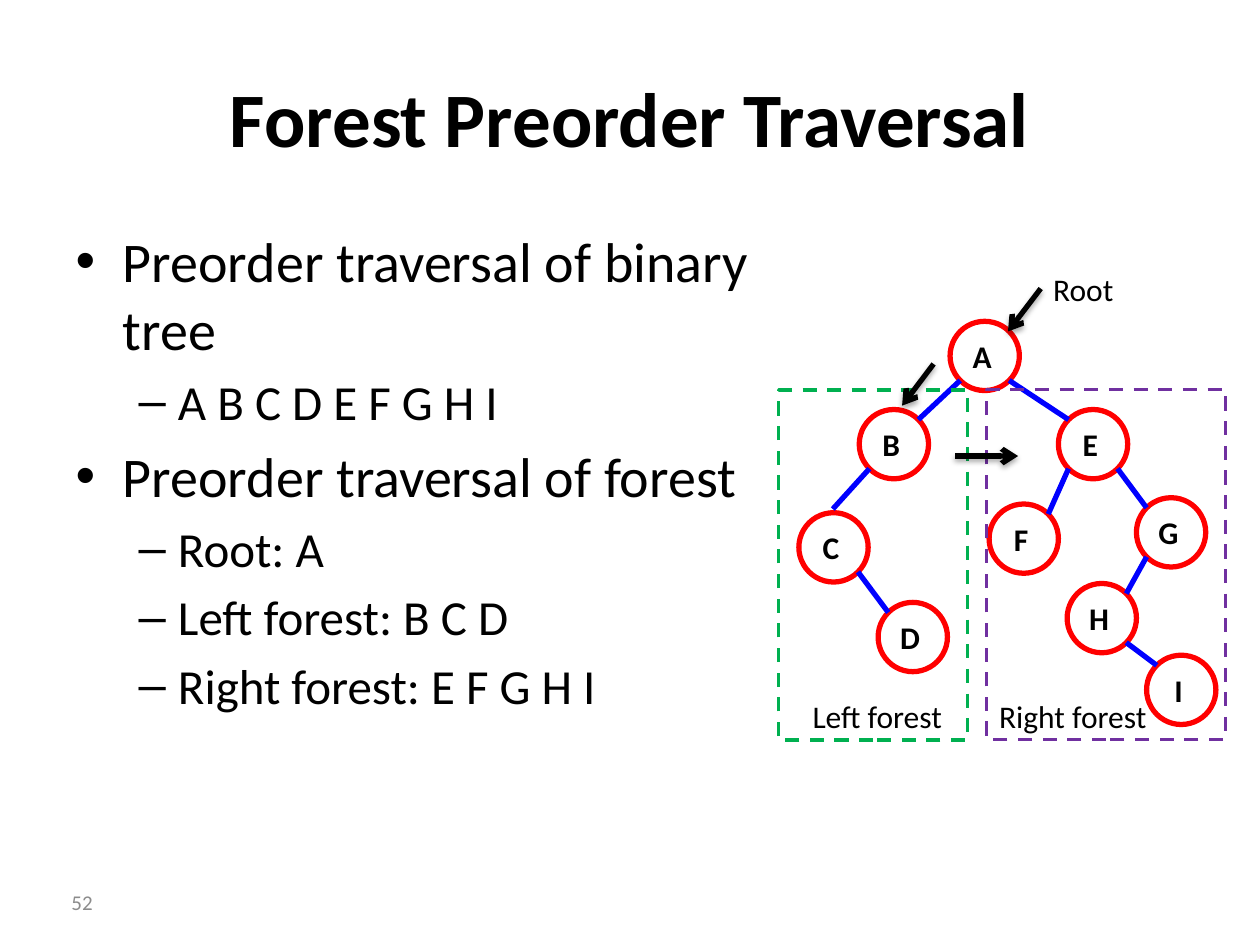
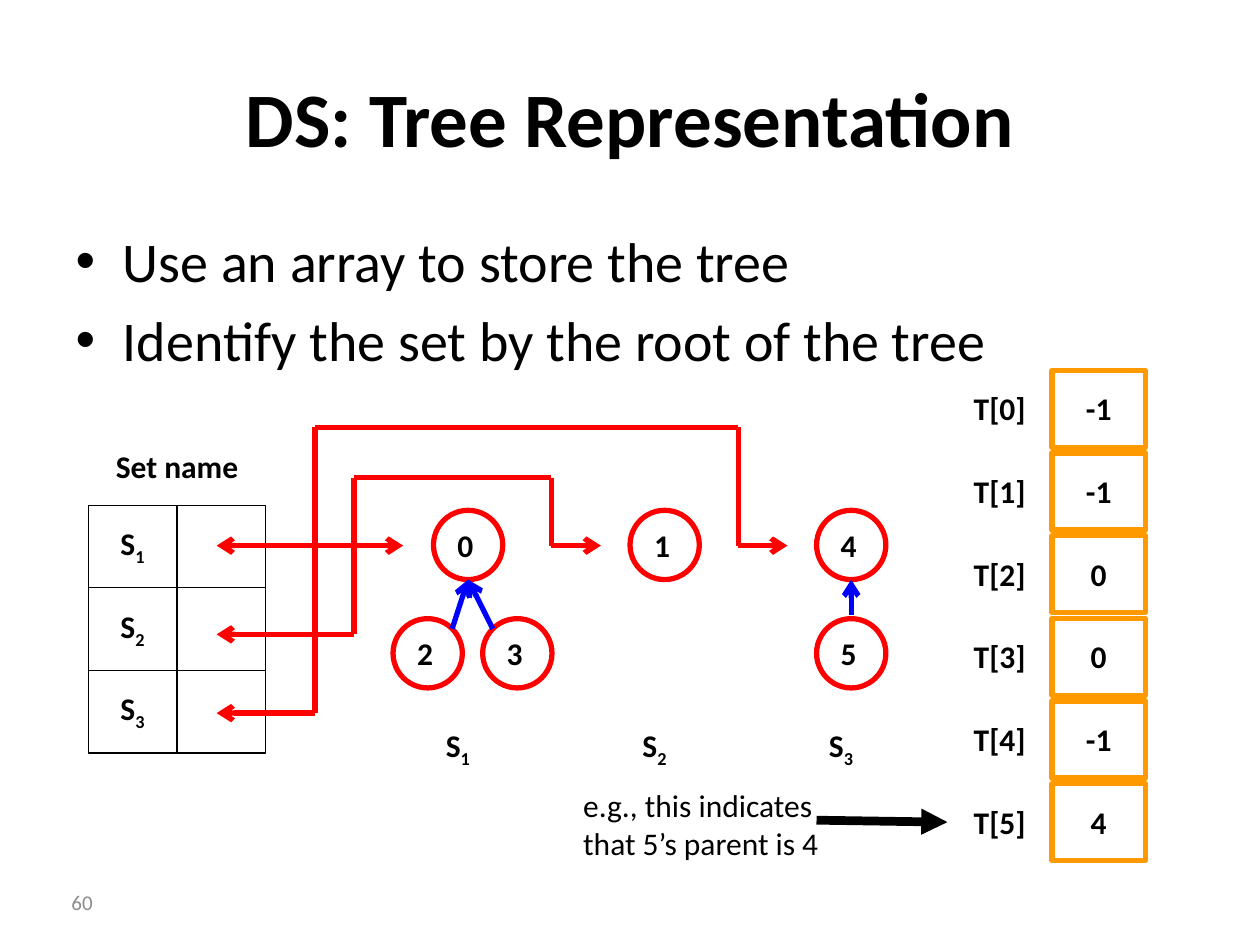
from dataclasses import dataclass

from lxml.etree import SubElement
from pptx import Presentation
from pptx.dml.color import RGBColor
from pptx.enum.dml import MSO_LINE
from pptx.enum.shapes import MSO_CONNECTOR, MSO_SHAPE
from pptx.enum.text import MSO_ANCHOR, PP_ALIGN
from pptx.oxml.ns import qn
from pptx.util import Pt


@dataclass(frozen=True)
class Theme:
    font: str = "Calibri"
    ink: str = "000000"
    page_gray: str = "8C8C8C"
    node_red: str = "FF0000"
    edge_blue: str = "0000FF"
    left_green: str = "00B050"
    right_purple: str = "7030A0"
    array_orange: str = "FF9900"
    title_size: float = 44
    level_sizes: tuple = (32, 28)
    label_size: float = 18
    page_size: float = 12
    stroke: float = 3


THEME = Theme()
NODE = 39.6                    # circle diameter
RADIUS = NODE / 2
DIAGONAL = RADIUS * 0.707      # offset of a 45° point on the circle
ROOMY = (7.2, 10.8, 7.2, 10.8)
IN_NODE = (0, 0, 3, 0)


def add_text(slide, text, box, shape=None, line=None, width=THEME.stroke, dash=None,
             size=THEME.label_size, color=THEME.ink, bold=False, align=PP_ALIGN.LEFT,
             anchor=MSO_ANCHOR.TOP, insets=(7.2, 3.6, 7.2, 3.6), wrap=True):
    """Text in a plain box or an outlined shape; "S_1" sets 1 as a subscript."""
    place = [Pt(value) for value in box]
    if shape is None:
        holder = slide.shapes.add_textbox(*place)
    else:
        holder = slide.shapes.add_shape(shape, *place)
        holder.shadow.inherit = False
        holder.fill.background()
        holder.line.color.rgb = RGBColor.from_string(line)
        holder.line.width = Pt(width)
        if dash:
            holder.line.dash_style = dash
    frame = holder.text_frame
    frame.word_wrap = wrap
    frame.vertical_anchor = anchor
    (frame.margin_left, frame.margin_top,
     frame.margin_right, frame.margin_bottom) = [Pt(value) for value in insets]
    paragraph = frame.paragraphs[0]
    paragraph.alignment = align
    base, _, subscript = text.partition("_")
    for part in filter(None, (base, subscript)):
        run = paragraph.add_run()
        run.text = part
        run.font.name, run.font.size, run.font.bold = THEME.font, Pt(size), bold
        run.font.color.rgb = RGBColor.from_string(color)
        if part is subscript:
            run.font._element.set("baseline", "-25000")
    return holder


def add_line(slide, start, end, color, width=THEME.stroke, head=None, tail=None, shadow=False):
    """Straight line with optional arrowheads at its start (head) and end (tail)."""
    connector = slide.shapes.add_connector(
        MSO_CONNECTOR.STRAIGHT, *[Pt(value) for value in (*start, *end)])
    connector.line.color.rgb = RGBColor.from_string(color)
    connector.line.width = Pt(width)
    properties = connector._element.spPr
    outline = properties.find(qn("a:ln"))
    for tag, kind in (("a:headEnd", head), ("a:tailEnd", tail)):
        if kind:
            SubElement(outline, qn(tag), type=kind)
    effects = SubElement(properties, qn("a:effectLst"))
    if shadow:
        drop = SubElement(effects, qn("a:outerShdw"), blurRad="40000", dist="23000",
                          dir="5400000", rotWithShape="0")
        tint = SubElement(drop, qn("a:srgbClr"), val=THEME.ink)
        SubElement(tint, qn("a:alpha"), val="35000")
    return connector


deck = Presentation()
deck.slide_width, deck.slide_height = Pt(720), Pt(540)

# Titles, lists and page numbers of both slides
outlines = [
    ("Forest Preorder Traversal", "52", 409, [
        (0, "Preorder traversal of binary tree"),
        (1, "A B C D E F G H I"),
        (0, "Preorder traversal of forest"),
        (1, "Root: A"),
        (1, "Left forest: B C D"),
        (1, "Right forest: E F G H I")]),
    ("DS: Tree Representation", "60", 648, [
        (0, "Use an array to store the tree"),
        (0, "Identify the set by the root of the tree")]),
]
for heading, page, list_width, points in outlines:
    slide = deck.slides.add_slide(deck.slide_layouts[1])
    title, body = slide.shapes.title, slide.placeholders[1]
    title.left, title.top, title.width, title.height = Pt(36), Pt(21.6), Pt(648), Pt(90)
    body.left, body.top, body.width, body.height = Pt(36), Pt(126), Pt(list_width), Pt(356.4)
    title.text_frame.text = heading
    title_font = title.text_frame.paragraphs[0].font
    title_font.name, title_font.size, title_font.bold = THEME.font, Pt(THEME.title_size), True
    title_font.color.rgb = RGBColor.from_string(THEME.ink)
    body.text_frame.text = "\n".join(text for _, text in points)
    for paragraph, (level, _) in zip(body.text_frame.paragraphs, points):
        paragraph.level = level
        paragraph.font.name = THEME.font
        paragraph.font.size = Pt(THEME.level_sizes[level])
        paragraph.font.color.rgb = RGBColor.from_string(THEME.ink)
    body.text_frame.paragraphs[0].space_before = Pt(0)
    add_text(slide, page, (0, 501, 60, 28.8), size=THEME.page_size, color=THEME.page_gray,
             align=PP_ALIGN.RIGHT, anchor=MSO_ANCHOR.MIDDLE)

traversal, representation = deck.slides

# Nodes of the trees on both slides
forest_nodes = {
    "A": (542.9, 183.6), "B": (491, 234), "C": (456.5, 293), "D": (501.8, 344.2),
    "E": (604.8, 234), "F": (565.2, 288), "G": (649.4, 284.4), "H": (609.8, 333.4),
    "I": (655.2, 374.4),
}
set_nodes = {
    "0": (247.7, 291.6), "1": (360, 291.6), "4": (466.6, 291.6),
    "2": (224.6, 353.5), "3": (275.8, 353.5), "5": (466.6, 353.5),
}
for slide, nodes in ((traversal, forest_nodes), (representation, set_nodes)):
    for name, corner in nodes.items():
        add_text(slide, name, (*corner, NODE, NODE), shape=MSO_SHAPE.OVAL,
                 line=THEME.node_red, bold=True, align=PP_ALIGN.CENTER,
                 anchor=MSO_ANCHOR.MIDDLE, insets=IN_NODE, wrap=False)

# Forest edges: parent, child, and the side the child lies on
for parent, child, side in (("A", "B", -1), ("A", "E", 1), ("C", "D", 1), ("E", "F", -1),
                            ("E", "G", 1), ("G", "H", -1), ("H", "I", 1)):
    (px, py), (cx, cy) = forest_nodes[parent], forest_nodes[child]
    add_line(traversal,
             (px + RADIUS + side * DIAGONAL, py + RADIUS + DIAGONAL),
             (cx + RADIUS - side * DIAGONAL, cy + RADIUS - DIAGONAL), THEME.edge_blue)
add_line(traversal, (496.8, 267.8), (475.9, 290.9), THEME.edge_blue)

# Left and right forest frames with their captions
for caption, frame_box, color, caption_box in (
        ("Left forest", (445, 223, 108, 200), THEME.left_green, (457.2, 394.6, 90, 28.8)),
        ("Right forest", (563.8, 222.6, 136.4, 200), THEME.right_purple,
         (563.8, 394.6, 99.4, 28.8))):
    add_text(traversal, "", frame_box, shape=MSO_SHAPE.RECTANGLE, line=color, width=2,
             dash=MSO_LINE.DASH)
    add_text(traversal, caption, caption_box, wrap=False)

# Visiting order
add_text(traversal, "Root", (594.7, 150.5, 49, 28.8), wrap=False)
for visited, origin in (((576, 189.4), (594.7, 164.9)), ((515.5, 231.8), (533.5, 208)),
                        ((581.8, 260.6), (545.8, 260.6))):
    add_line(traversal, visited, origin, THEME.ink, head="arrow", shadow=True)

# Parent array
for index, parent in enumerate(("-1", "-1", "0", "0", "-1", "4")):
    top = 211.7 + 47.23 * index
    array_label = add_text(representation, f"T[{index}]", (541.4, top, 59.8, 43.9),
                           bold=True, align=PP_ALIGN.CENTER, insets=ROOMY)
    add_text(representation, parent, (601.2, top, 53.3, 43.9), shape=MSO_SHAPE.RECTANGLE,
             line=THEME.array_orange, bold=True, align=PP_ALIGN.CENTER, insets=ROOMY)

# Set table, and the set names under the trees
add_text(representation, "Set name", (50.4, 244.8, 101.5, 43.9), bold=True,
         align=PP_ALIGN.CENTER, insets=ROOMY)
for row, root in enumerate(("0", "1", "4")):
    set_name = f"S_{row + 1}"
    for column, cell in enumerate((set_name, "")):
        add_text(representation, cell, (50.4 + 50.7 * column, 288.7 + 47.2 * row, 50.7, 47.2),
                 shape=MSO_SHAPE.RECTANGLE, line=THEME.ink, width=0.75, bold=True,
                 align=PP_ALIGN.CENTER, insets=ROOMY)
    add_text(representation, set_name, (set_nodes[root][0], 403.9, 44.6, 47.5), bold=True,
             insets=ROOMY)

# Routes between table cells and tree roots
root_y = 311.8
for route in (
        [(123.8, root_y), (230.4, root_y)],
        [(123.8, 362.5), (202.3, 362.5), (202.3, 272.9), (315, 272.9), (315, root_y),
         (343.4, root_y)],
        [(123.8, 407.5), (180, 407.5), (180, 244.1), (422, 244.1), (422, root_y),
         (450, root_y)]):
    for start, end in zip(route, route[1:]):
        add_line(representation, start, end, THEME.node_red,
                 head="arrow" if start == route[0] else None,
                 tail="arrow" if end == route[-1] else None)

# Child-to-parent arrows
for child, parent, side, rise in (("2", "0", 1, DIAGONAL), ("3", "0", -1, DIAGONAL),
                                  ("5", "4", 0, RADIUS + 2)):
    (cx, cy), (px, py) = set_nodes[child], set_nodes[parent]
    add_line(representation, (cx + RADIUS + side * DIAGONAL, cy + RADIUS - rise),
             (px + RADIUS, py + NODE), THEME.edge_blue, tail="arrow")

# Example note pointing at the last array entry
add_text(representation, "e.g., this indicates that 5’s parent is 4",
         (326.2, 445.7, 175.7, 51.1))
pointer = add_line(representation, (466.6, 468.7), (541.4, 469.4), THEME.ink, width=5,
                   tail="triangle")
pointer.end_connect(array_label, 1)

deck.save("out.pptx")
